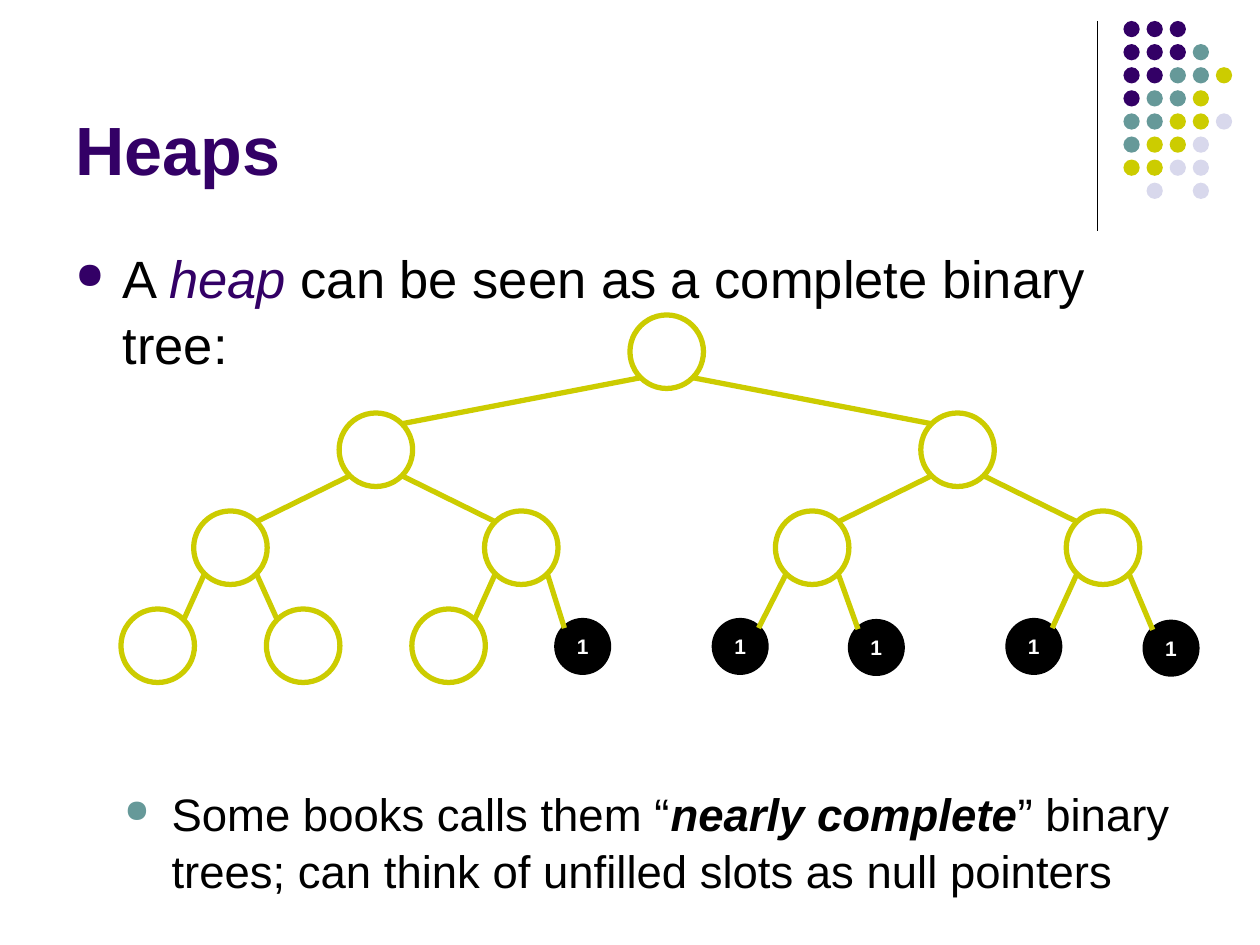
"""Build a slide showing a heap as a nearly complete binary tree."""
import math

import pptx
import pptx.util
from lxml import etree
from pptx.dml.color import RGBColor
from pptx.enum.shapes import MSO_CONNECTOR, MSO_SHAPE
from pptx.enum.text import MSO_ANCHOR, PP_ALIGN
from pptx.oxml.ns import qn

Pt = pptx.util.Pt
PURPLE, TEAL, OLIVE, PALE = "330066", "669999", "CCCC00", "D8D8EC"
BLACK, WHITE = "000000", "FFFFFF"

TITLE = "Heaps"
BULLETS = [
    {"runs": [("A ", BLACK, False, False), ("heap", PURPLE, False, True),
              (" can be seen as a complete binary tree:", BLACK, False, False)],
     "size": 30, "margin": 27, "before": 0, "bullet": PURPLE},
    {"runs": [("Some books calls them “", BLACK, False, False),
              ("nearly complete", BLACK, True, True),
              ("” binary trees; can think of unfilled slots as null pointers",
               BLACK, False, False)],
     "size": 26, "margin": 55, "before": 233, "bullet": TEAL},
]

DOT_COLORS = {"P": PURPLE, "T": TEAL, "O": OLIVE, "L": PALE}
DOT_ROWS = ["PPP", "PPPT", "PPTTO", "PTTO", "TTOOL", "TOOL", "OOLL", " L L"]
DOT_LEFT, DOT_TOP, DOT_PITCH, DOT_SIZE = 642, 12, 13.2, 9.3

LEVELS, ROOT_X, ROOT_Y, LEVEL_GAP, LEAF_HALF_GAP = 4, 381, 201, 56, 41.55
NODE_RADIUS, NULL_RADIUS = 21, 14.8
NULL_CENTERS = {11: (333, 369.4), 12: (423, 369.4), 13: (500.8, 370),
                14: (590.8, 369.4), 15: (669.2, 370.4)}


def rgb(color):
    return RGBColor.from_string(color)


def style(r, size, color, bold=False, italic=False):
    r.font.name = "Arial"
    r.font.size = Pt(size)
    r.font.bold = bold
    r.font.italic = italic
    r.font.color.rgb = rgb(color)


def add_circle(s, x, y, radius, fill, line=None):
    sp = s.shapes.add_shape(MSO_SHAPE.OVAL, Pt(x - radius), Pt(y - radius),
                            Pt(2 * radius), Pt(2 * radius))
    sp.shadow.inherit = False
    sp.fill.solid()
    sp.fill.fore_color.rgb = rgb(fill)
    if line:
        sp.line.color.rgb = rgb(line)
        sp.line.width = Pt(3)
    else:
        sp.line.fill.background()
    return sp


def add_line(s, start, end, color, width):
    sp = s.shapes.add_connector(MSO_CONNECTOR.STRAIGHT, *map(Pt, start + end))
    sp.line.color.rgb = rgb(color)
    sp.line.width = Pt(width)
    etree.SubElement(sp._element.spPr, qn("a:effectLst"))


def add_text(s, left, top, width, height):
    tf = s.shapes.add_textbox(Pt(left), Pt(top), Pt(width), Pt(height)).text_frame
    tf.word_wrap = True
    return tf


def add_bullet(p, margin, color):
    pPr = p._p.get_or_add_pPr()
    pPr.set("marL", str(Pt(margin)))
    pPr.set("indent", str(Pt(-27)))
    clr = etree.SubElement(pPr, qn("a:buClr"))
    etree.SubElement(clr, qn("a:srgbClr"), val=color)
    etree.SubElement(pPr, qn("a:buSzPct"), val="70000")
    etree.SubElement(pPr, qn("a:buChar"), char="●")


def add_dots(s):
    radius = DOT_SIZE / 2
    for row, codes in enumerate(DOT_ROWS):
        for col, code in enumerate(codes):
            if code != " ":
                add_circle(s, DOT_LEFT + radius + col * DOT_PITCH,
                           DOT_TOP + radius + row * DOT_PITCH,
                           radius, DOT_COLORS[code])


def add_body(s):
    tf = add_text(s, 36, 135.4, 648, 347)
    for i, item in enumerate(BULLETS):
        p = tf.paragraphs[0] if i == 0 else tf.add_paragraph()
        p.line_spacing = 1.05
        p.space_before = Pt(item["before"])
        add_bullet(p, item["margin"], item["bullet"])
        for text, color, bold, italic in item["runs"]:
            r = p.add_run()
            r.text = text
            style(r, item["size"], color, bold, italic)


def node_place(index):
    if index in NULL_CENTERS:
        return *NULL_CENTERS[index], NULL_RADIUS
    level = index.bit_length() - 1
    offset = 2 * (index - 2 ** level) + 1 - 2 ** level
    x = ROOT_X + offset * LEAF_HALF_GAP * 2 ** (LEVELS - 1 - level)
    return x, ROOT_Y + level * LEVEL_GAP, NODE_RADIUS


def add_tree(s):
    places = {i: node_place(i) for i in range(1, 2 ** LEVELS)}
    for i, (x, y, radius) in places.items():
        if i not in NULL_CENTERS:
            add_circle(s, x, y, radius, WHITE, OLIVE)
            continue
        tf = add_circle(s, x, y, radius, BLACK, BLACK).text_frame
        tf.word_wrap = False
        tf.vertical_anchor = MSO_ANCHOR.MIDDLE
        tf.text = "1"
        tf.paragraphs[0].alignment = PP_ALIGN.CENTER
        style(tf.paragraphs[0].runs[0], 12, WHITE, bold=True)
    diagonal = math.sqrt(0.5)
    for i in range(2, 2 ** LEVELS):
        x, y, radius = places[i]
        px, py, pradius = places[i // 2]
        side = 1 if i % 2 else -1
        add_line(s, (px + side * pradius * diagonal, py + pradius * diagonal),
                 (x - side * radius * diagonal, y - radius * diagonal), OLIVE, 3)


def main():
    prs = pptx.Presentation()
    prs.slide_width, prs.slide_height = Pt(720), Pt(540)
    s = prs.slides.add_slide(prs.slide_layouts[6])
    add_line(s, (627, 12), (627, 132), BLACK, 0.75)
    add_dots(s)
    add_body(s)
    tf = add_text(s, 36, 9.4, 594, 102.2)
    tf.vertical_anchor = MSO_ANCHOR.BOTTOM
    tf.text = TITLE
    style(tf.paragraphs[0].runs[0], 39, PURPLE, bold=True)
    add_tree(s)
    prs.save("out.pptx")


if __name__ == "__main__":
    main()
